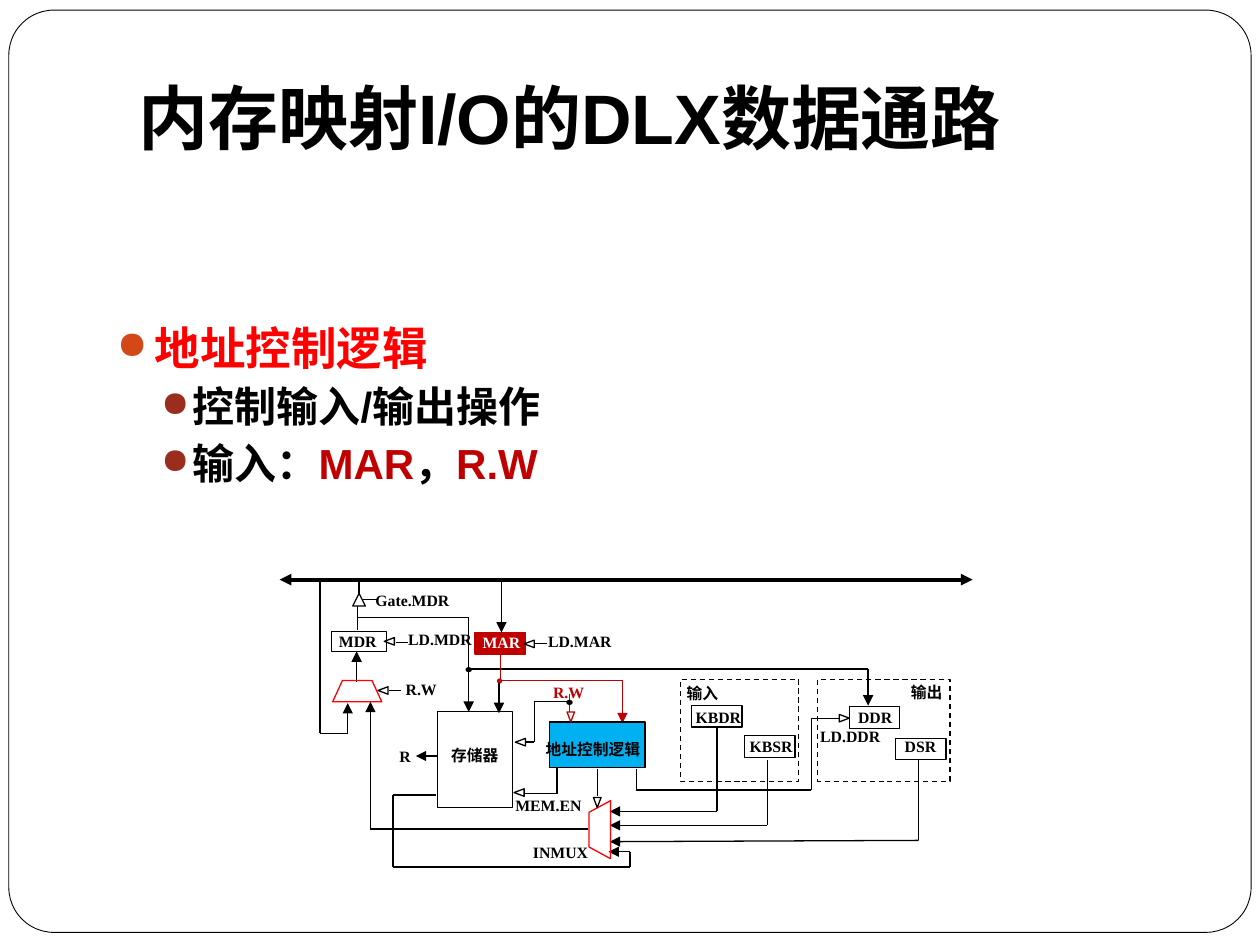
from itertools import pairwise

from lxml.etree import SubElement
from pptx import Presentation
from pptx.dml.color import RGBColor
from pptx.enum.dml import MSO_LINE_DASH_STYLE as Dash
from pptx.enum.shapes import MSO_CONNECTOR as Link, MSO_SHAPE as Shape
from pptx.enum.text import MSO_ANCHOR as Anchor
from pptx.oxml.ns import qn
from pptx.util import Inches, Pt

BLACK, WHITE, RED, DARK_RED = "000000", "FFFFFF", "FF0000", "C00000"
BLUE, ORANGE, BROWN = "00B0F0", "D34817", "9B2D1F"


def color(value):
    return RGBColor.from_string(value)


class DatapathSlide:
    text_font, label_font = "Arial", "Times New Roman"
    label_size, line_width = 9, 0.75

    def __init__(self, slide):
        self.slide = slide

    def shape(self, kind, left, top, width, height, fill=None, line=BLACK,
              weight=line_width, rotation=0, dashed=False):
        item = self.slide.shapes.add_shape(
            kind, Inches(left), Inches(top), Inches(width), Inches(height))
        item.shadow.inherit = False
        item.rotation = rotation
        if fill:
            item.fill.solid()
            item.fill.fore_color.rgb = color(fill)
        else:
            item.fill.background()
        item.line.color.rgb = color(line)
        item.line.width = Pt(weight)
        if dashed:
            item.line.dash_style = Dash.DASH
        return item

    def wire(self, *points, line=BLACK, weight=line_width, ends=()):
        """Join the points; ends may hold headEnd and tailEnd."""
        last = len(points) - 2
        for i, (start, stop) in enumerate(pairwise(points)):
            segment = self.slide.shapes.add_connector(
                Link.STRAIGHT, *map(Inches, start + stop))
            segment.line.color.rgb = color(line)
            segment.line.width = Pt(weight)
            properties = segment._element.spPr
            for end in ends:
                if i == (0 if end == "headEnd" else last):
                    SubElement(segment.line._get_or_add_ln(),
                               qn(f"a:{end}"), type="triangle")
            SubElement(properties, qn("a:effectLst"))

    def arrow(self, *points, **style):
        self.wire(*points, ends=("tailEnd",), **style)

    def gate(self, left, top, rotation=270, line=BLACK):
        self.shape(Shape.FLOWCHART_EXTRACT, left, top, 0.06, 0.08, WHITE,
                   line, rotation=rotation)

    def text_frame(self, left, top, width, height):
        frame = self.slide.shapes.add_textbox(
            Inches(left), Inches(top), Inches(width), Inches(height)).text_frame
        frame.word_wrap = True
        return frame

    def style(self, font, name, size, ink=BLACK):
        font.name, font.size, font.bold = name, Pt(size), True
        font.color.rgb = color(ink)

    def label(self, text, left, top, width, height=0.22, ink=BLACK):
        frame = self.text_frame(left, top, width, height)
        frame.vertical_anchor = Anchor.MIDDLE
        frame.margin_left, frame.margin_right = Inches(0.02), 0
        frame.margin_top = frame.margin_bottom = Inches(0.01)
        frame.text = text
        self.style(frame.paragraphs[0].font, self.label_font, self.label_size, ink)

    def title(self, text, left, top, width, height):
        frame = self.text_frame(left, top, width, height)
        frame.vertical_anchor = Anchor.MIDDLE
        frame.text = text
        self.style(frame.paragraphs[0].font, self.text_font, 40)

    def bullets(self, items, left, top, width, height):
        frame = self.text_frame(left, top, width, height)
        for i, (level, size, bullet_ink, runs) in enumerate(items):
            paragraph = frame.paragraphs[0] if i == 0 else frame.add_paragraph()
            paragraph.level = level
            if i:
                paragraph.space_before = Pt(3.7)
            margin, hanging = ((0.3, 0.3), (0.6, 0.25))[level]
            properties = paragraph._p.get_or_add_pPr()
            properties.set("marL", str(Inches(margin)))
            properties.set("indent", str(-Inches(hanging)))
            ink = SubElement(properties, qn("a:buClr"))
            SubElement(ink, qn("a:srgbClr"), val=bullet_ink)
            SubElement(properties, qn("a:buSzPct"), val="85000")
            SubElement(properties, qn("a:buChar"), char="●")
            self.style(paragraph.font, self.text_font, size)
            for text, run_ink in runs:
                run = paragraph.add_run()
                run.text = text
                self.style(run.font, self.text_font, size, run_ink)


def main():
    deck = Presentation()
    deck.slide_width, deck.slide_height = Inches(10), Inches(7.5)
    page = DatapathSlide(deck.slides.add_slide(deck.slide_layouts[6]))

    # Frame, title and points
    frame = page.shape(Shape.ROUNDED_RECTANGLE, 0.07, 0.08, 9.86, 7.32, WHITE,
                       weight=0.5)
    frame.adjustments[0] = 0.049
    page.title("内存映射I/O的DLX数据通路", 1, 0.3, 8.5, 1.25)
    page.bullets([
        (0, 26, ORANGE, [("地址控制逻辑", RED)]),
        (1, 24, BROWN, [("控制输入/输出操作", BLACK)]),
        (1, 24, BROWN, [("输入：", BLACK), ("MAR", DARK_RED),
                        ("，", BLACK), ("R.W", DARK_RED)]),
    ], 0.83, 2.49, 8.35, 1.5)

    # Bus
    page.wire((2.22, 4.6), (7.72, 4.6), weight=2.25, ends=("headEnd", "tailEnd"))

    # Plain wires
    for route in (
        [(2.85, 4.61), (2.85, 4.72)],
        [(2.88, 4.76), (2.99, 4.76)],
        [(2.84, 4.81), (2.84, 5)],
        [(3.14, 5.1), (3.24, 5.1)],
        [(4.24, 5.11), (4.34, 5.11)],
        [(3.09, 5.48), (3.18, 5.48)],
        [(4.52, 5.57), (4.24, 5.57), (4.24, 5.89), (4.16, 5.89)],
        [(4.42, 6.09), (4.42, 6.3), (4.16, 6.3)],
        [(4.74, 6.1), (4.74, 6.32)],
        [(5.05, 6.1), (5.05, 6.27), (6.44, 6.27), (6.44, 5.7), (6.68, 5.7)],
    ):
        page.wire(*route)

    # Wires that end in an arrowhead
    for route in (
        [(2.83, 5.41), (2.83, 5.17)],
        [(2.54, 4.6), (2.54, 5.82), (2.76, 5.82), (2.76, 5.58)],
        [(4.67, 6.58), (2.94, 6.58), (2.94, 5.57)],
        [(2.84, 4.9), (3.72, 4.9), (3.72, 5.65)],
        [(3.98, 4.61), (3.98, 5.02)],
        [(3.47, 6), (3.3, 6)],
        [(3.7, 5.31), (6.89, 5.31), (6.89, 5.6)],
        [(3.96, 5.4), (3.96, 5.66)],
        [(3.46, 6.31), (3.12, 6.31), (3.12, 6.88), (5, 6.88), (5, 6.76), (4.83, 6.76)],
        [(5.69, 5.78), (5.69, 6.44), (4.84, 6.44)],
        [(6.09, 6.03), (6.09, 6.55), (4.84, 6.55)],
        [(7.29, 6.03), (7.29, 6.67), (4.84, 6.68)],
    ):
        page.arrow(*route)

    # Address signals in red
    page.wire((3.97, 5.19), (3.97, 5.41), line=DARK_RED)
    page.arrow((3.97, 5.4), (4.94, 5.4), (4.94, 5.74), line=DARK_RED)
    page.wire((4.52, 5.51), (4.52, 5.65), line=DARK_RED)

    # Input and output groups
    for left, width in ((5.4, 0.94), (6.49, 1.05)):
        page.shape(Shape.RECTANGLE, left, 5.39, width, 0.81, dashed=True)

    # Registers, memory and address control logic
    page.shape(Shape.RECTANGLE, 2.63, 5.01, 0.44, 0.16)
    page.shape(Shape.RECTANGLE, 3.77, 5.02, 0.4, 0.17, DARK_RED, DARK_RED)
    page.shape(Shape.RECTANGLE, 3.47, 5.65, 0.6, 0.76)
    page.shape(Shape.RECTANGLE, 4.36, 5.73, 0.76, 0.36, BLUE)
    for left, top in ((5.49, 5.6), (5.91, 5.84), (6.74, 5.61), (7.11, 5.86)):
        page.shape(Shape.RECTANGLE, left, top, 0.4, 0.17)

    # Multiplexers
    page.shape(Shape.FLOWCHART_MANUAL_OPERATION, 2.64, 5.4, 0.39, 0.17,
               line=RED, rotation=180)
    page.shape(Shape.FLOWCHART_MANUAL_OPERATION, 4.53, 6.5, 0.46, 0.17,
               line=RED, rotation=90)

    # Control gates
    page.shape(Shape.FLOWCHART_EXTRACT, 2.8, 4.71, 0.1, 0.1, WHITE)
    for left, top in ((3.06, 5.05), (4.17, 5.07), (4.1, 5.85), (4.09, 6.25),
                      (3.01, 5.44)):
        page.gate(left, top)
    page.gate(4.5, 5.65, 180, DARK_RED)
    page.gate(4.71, 6.33, 180)
    page.gate(6.67, 5.66, 90)

    # Junctions
    page.shape(Shape.OVAL, 3.7, 5.3, 0.04, 0.03, BLACK)
    page.shape(Shape.OVAL, 3.95, 5.39, 0.03, 0.03, BROWN, DARK_RED)
    page.shape(Shape.OVAL, 4.5, 5.56, 0.04, 0.03, BLACK)

    # Labels
    for text, left, top, width in (
        ("Gate.MDR", 2.96, 4.65, 0.7), ("MDR", 2.67, 4.98, 0.35),
        ("LD.MDR", 3.22, 4.96, 0.56), ("LD.MAR", 4.33, 4.98, 0.56),
        ("MEM.EN", 4.07, 6.28, 0.68), ("R", 3.15, 5.89, 0.16),
        ("INMUX", 4.21, 6.65, 0.56), ("KBSR", 5.93, 5.81, 0.39),
        ("KBDR", 5.5, 5.58, 0.52), ("DDR", 6.79, 5.58, 0.39),
        ("DSR", 7.16, 5.81, 0.39), ("输出", 7.21, 5.38, 0.37),
        ("输入", 5.43, 5.39, 0.38), ("R.W", 3.2, 5.36, 0.34),
        ("LD.DDR", 6.49, 5.73, 0.56),
    ):
        page.label(text, left, top, width)
    page.label("MAR", 3.81, 4.99, 0.35, ink=WHITE)
    page.label("R.W", 4.37, 5.38, 0.34, ink=DARK_RED)
    page.label("存储器", 3.56, 5.86, 0.43, 0.27)
    page.label("地址控制逻辑", 4.31, 5.75, 0.85, 0.39)

    deck.save("out.pptx")


if __name__ == "__main__":
    main()
